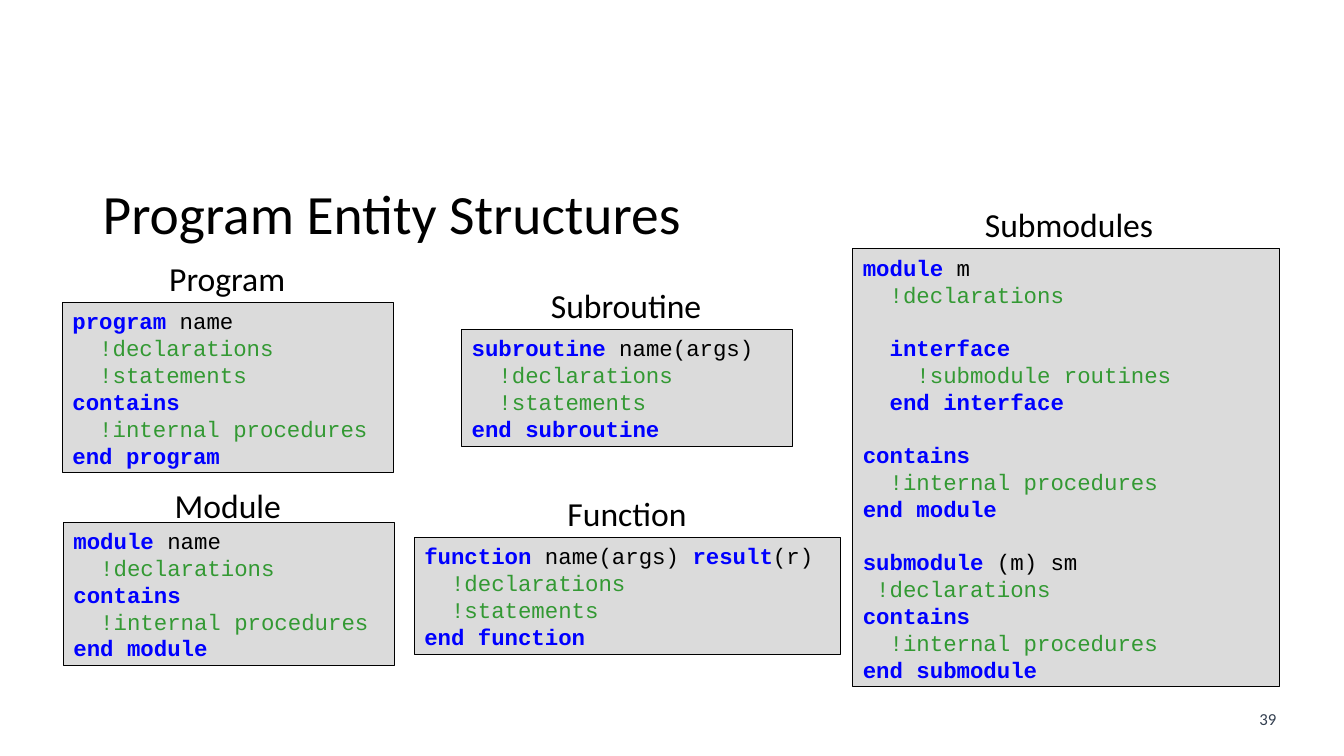
"""Build a slide of Fortran program entity structures."""
from dataclasses import dataclass

from pptx import Presentation
from pptx.dml.color import RGBColor
from pptx.enum.shapes import MSO_SHAPE as Shape
from pptx.enum.text import MSO_ANCHOR as Anchor, PP_ALIGN as Align
from pptx.util import Inches, Pt

BLACK, KEYWORD, COMMENT = "000000", "0000FF", "339933"
PANEL_FILL, NUMBER_COLOR = "DBDBDB", "333F50"
CODE_SIZE, LINE_HEIGHT, BLANK_LINE = 16, 0.265, 19


@dataclass
class Panel:
    """A captioned code box; odd parts of a line split by | are keywords."""
    title: str
    left: float
    top: float
    width: float
    title_width: float
    code: tuple[str, ...]
    title_rise: float = 0.49
    title_shift: float = 0


PANELS = (
    Panel("Module", 0.63, 5.18, 3.28, 1.27, (
        "module |name",
        "  !declarations",
        "contains",
        "  !internal procedures",
        "end module"), title_rise=0.42),
    Panel("Program", 0.62, 3, 3.28, 1.36, (
        "program |name",
        "  !declarations",
        "  !statements",
        "contains",
        "  !internal procedures",
        "end program")),
    Panel("Subroutine", 4.58, 3.27, 3.28, 1.71, (
        "subroutine |name(args)",
        "  !declarations",
        "  !statements",
        "end subroutine")),
    Panel("Function", 4.11, 5.33, 4.23, 1.39, (
        "function |name(args) |result|(r)",
        "  !declarations",
        "  !statements",
        "end function")),
    Panel("Submodules", 8.46, 2.47, 4.23, 1.89, (
        "module |m",
        "  !declarations",
        "",
        "  interface",
        "    !submodule routines",
        "  end interface",
        "",
        "contains",
        "  !internal procedures",
        "end module",
        "",
        "submodule| (m) sm",
        " !declarations",
        "contains",
        "  !internal procedures",
        "end submodule"), title_rise=0.5, title_shift=0.04),
)


def rgb(value: str) -> RGBColor:
    """Turn a hex string into a colour."""
    return RGBColor.from_string(value)


def add_span(para, text: str, *, size: float, color: str = BLACK,
             font: str = "Calibri", bold: bool = False) -> None:
    """Append formatted text to a paragraph."""
    span = para.add_run()
    span.text = text
    span.font.name = font
    span.font.size = Pt(size)
    span.font.bold = bold
    span.font.color.rgb = rgb(color)


def add_label(page, text: str, left: float, top: float, width: float,
              height: float, *, size: float, color: str = BLACK,
              align=Align.LEFT, anchor=Anchor.TOP, wrap: bool = True,
              spacing: float = 1.0) -> None:
    """Place a one-paragraph text box."""
    box = page.shapes.add_textbox(
        Inches(left), Inches(top), Inches(width), Inches(height))
    frame = box.text_frame
    frame.word_wrap = wrap
    frame.vertical_anchor = anchor
    para = frame.paragraphs[0]
    para.alignment = align
    para.line_spacing = spacing
    add_span(para, text, size=size, color=color)


def add_code_line(para, line: str) -> None:
    """Write one line of code with its syntax colours."""
    if line.lstrip().startswith("!"):
        add_span(para, line, size=CODE_SIZE, color=COMMENT, font="Courier New")
        return
    for index, part in enumerate(line.split("|")):
        is_keyword = index % 2 == 0
        add_span(para, part, size=CODE_SIZE, font="Courier New",
                 color=KEYWORD if is_keyword else BLACK, bold=is_keyword)


def add_panel(page, panel: Panel) -> None:
    """Draw a code box and its caption."""
    height = 0.1 + LINE_HEIGHT * len(panel.code)
    box = page.shapes.add_shape(
        Shape.RECTANGLE, Inches(panel.left), Inches(panel.top),
        Inches(panel.width), Inches(height))
    box.shadow.inherit = False
    box.fill.solid()
    box.fill.fore_color.rgb = rgb(PANEL_FILL)
    box.line.color.rgb = rgb(BLACK)
    box.line.width = Pt(0.75)
    frame = box.text_frame
    frame.word_wrap = True
    frame.vertical_anchor = Anchor.TOP
    para, previous = frame.paragraphs[0], None
    for line in panel.code:
        if line:
            if previous is not None:
                para = frame.add_paragraph()
            para.alignment = Align.LEFT
            if previous == "":
                para.space_before = Pt(BLANK_LINE)
            add_code_line(para, line)
        previous = line
    title_left = panel.left + (panel.width - panel.title_width) / 2
    add_label(page, panel.title, title_left + panel.title_shift,
              panel.top - panel.title_rise, panel.title_width, 0.5,
              size=24, wrap=False)


def main() -> None:
    """Create and save the deck."""
    deck = Presentation()
    deck.slide_width, deck.slide_height = Inches(13.33), Inches(7.5)
    page = deck.slides.add_slide(deck.slide_layouts[6])
    add_label(page, "39", 12.34, 6.98, 0.47, 0.3, size=12,
              color=NUMBER_COLOR, align=Align.CENTER)
    add_label(page, "Program Entity Structures", 0.92, 1.8, 11.5, 0.7,
              size=39.6, anchor=Anchor.MIDDLE, spacing=0.9)
    for panel in PANELS:
        add_panel(page, panel)
    deck.save("out.pptx")


if __name__ == "__main__":
    main()
